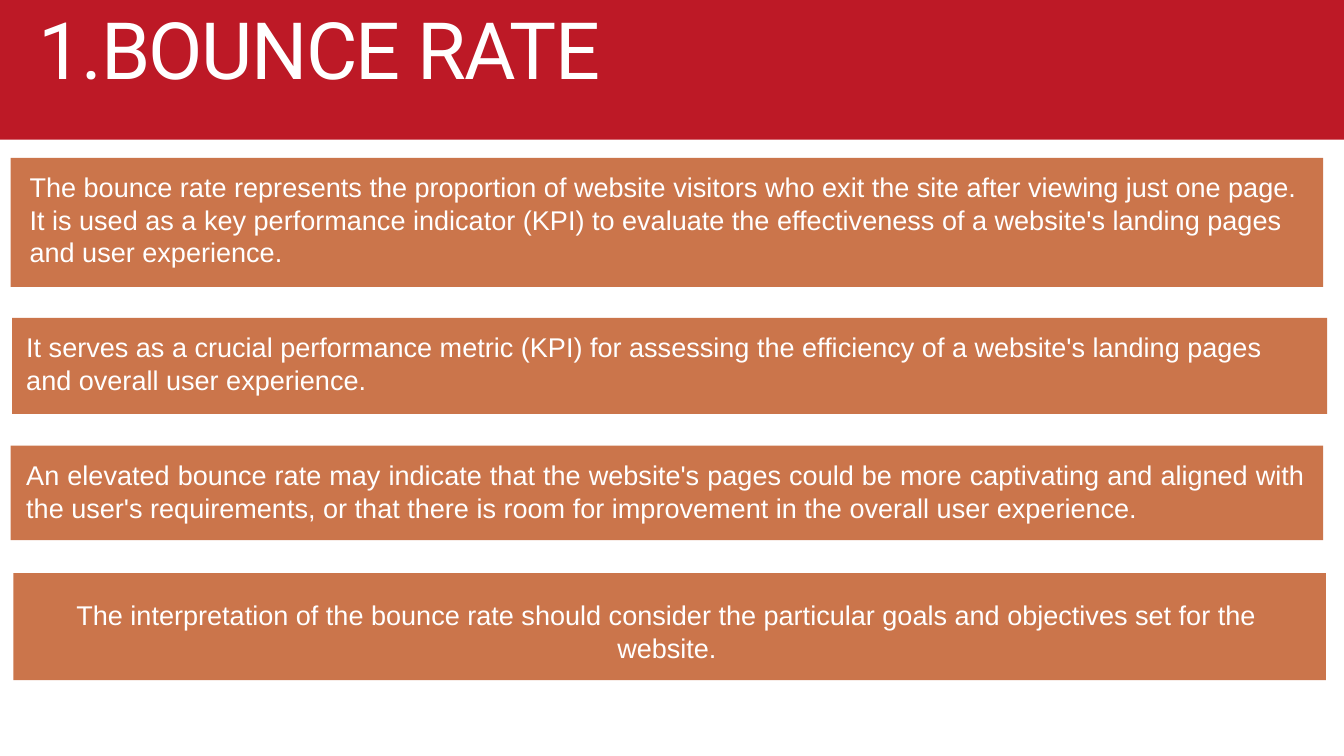
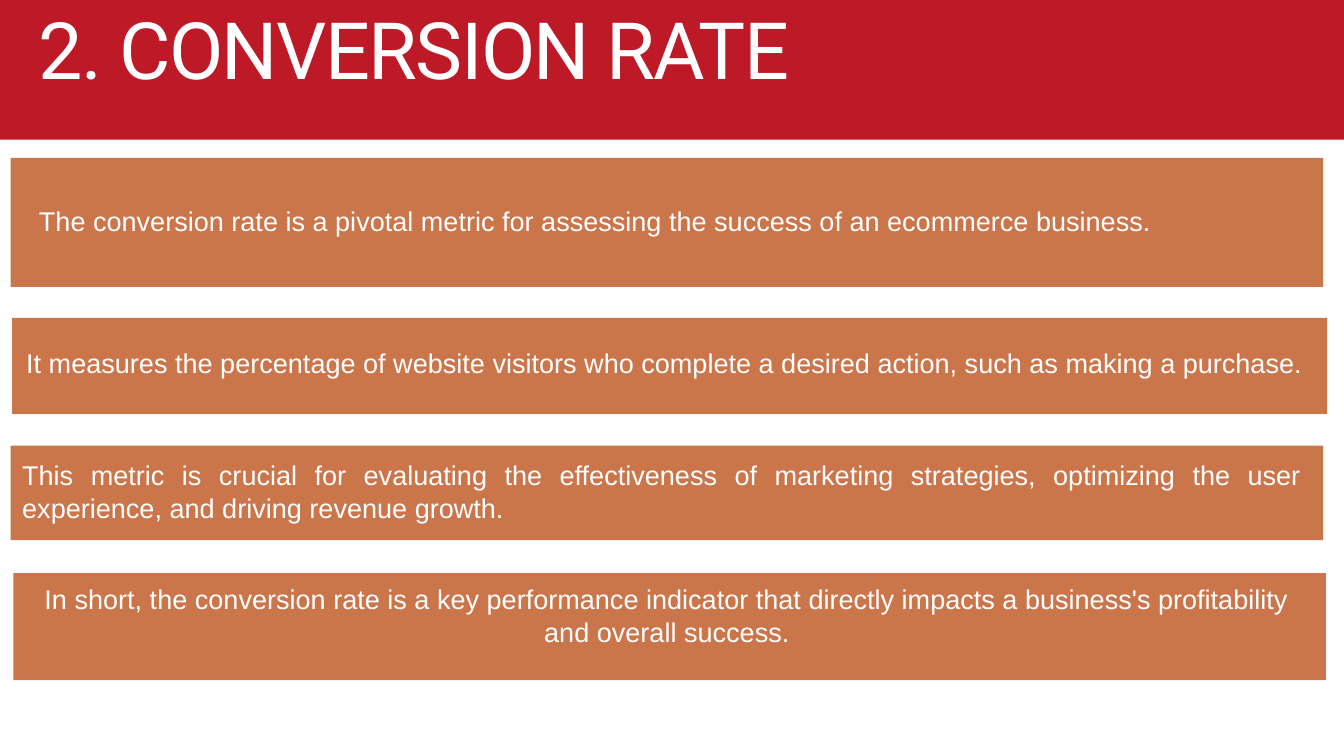
from dataclasses import dataclass

from pptx import Presentation
from pptx.dml.color import RGBColor
from pptx.enum.shapes import MSO_SHAPE as Shape
from pptx.enum.text import MSO_ANCHOR as Anchor, MSO_AUTO_SIZE as AutoSize, PP_ALIGN as Align
from pptx.util import Inches, Pt


@dataclass(frozen=True)
class Theme:
    red: RGBColor = RGBColor(0xBD, 0x19, 0x26)
    copper: RGBColor = RGBColor(0xCB, 0x75, 0x4B)
    white: RGBColor = RGBColor(0xFF, 0xFF, 0xFF)
    title_font: str = "Roboto"
    title_size: float = 84.7
    title_line: float = 74.5
    title_tracking: float = -1.7
    body_font: str = "Arial"
    body_size: float = 29
    body_line: float = 34.9


@dataclass(frozen=True)
class Statement:
    """A text on a panel, with the box (left, top, width, height) it sits in."""
    box: tuple
    paragraphs: tuple
    align: Align = Align.LEFT


THEME = Theme()
BAND = (-0.64, -0.12, 21.17, 2.2)
PANELS = (
    (0.16, 2.35, 19.53, 1.92),
    (0.18, 4.73, 19.57, 1.43),
    (0.16, 6.63, 19.53, 1.41),
    (0.2, 8.53, 19.53, 1.59),
)
TITLE_FORMAT = {"name": THEME.title_font, "size": Pt(THEME.title_size)}
BODY_FORMAT = {"name": THEME.body_font, "size": Pt(THEME.body_size)}

BOUNCE_RATE = (
    Statement((0.44, 2.54, 19.31, 1.93), (
        "The bounce rate represents the proportion of website visitors who exit "
        "the site after viewing just one page.",
        "It is used as a key performance indicator (KPI) to evaluate the "
        "effectiveness of a website's landing pages and user experience.",
    )),
    Statement((0.39, 4.92, 19.05, 1.45), (
        "It serves as a crucial performance metric (KPI) for assessing the "
        "efficiency of a website's landing pages and overall user experience.",
    )),
    Statement((0.39, 6.82, 19.05, 1.45), (
        "An elevated bounce rate may indicate that the website's pages could be "
        "more captivating and aligned with the user's requirements, or that there "
        "is room for improvement in the overall user experience.",
    ), Align.JUSTIFY),
    Statement((0.4, 8.91, 19.05, 0.98), (
        "The interpretation of the bounce rate should consider the particular "
        "goals and objectives set for the website.",
    ), Align.CENTER),
)
CONVERSION_RATE = (
    Statement((0.58, 3.04, 19.31, 0.97), (
        "The conversion rate is a pivotal metric for assessing the success of an "
        "ecommerce business.",
    )),
    Statement((0.39, 5.15, 19.05, 0.97), (
        "It measures the percentage of website visitors who complete a desired "
        "action, such as making a purchase.",
    )),
    Statement((0.33, 6.82, 19.05, 1.45), (
        "This metric is crucial for evaluating the effectiveness of marketing "
        "strategies, optimizing the user experience, and driving revenue growth.",
    ), Align.JUSTIFY),
    Statement((0.4, 8.67, 19.05, 1.46), (
        "In short, the conversion rate is a key performance indicator that "
        "directly impacts a business's profitability and overall success.",
    ), Align.CENTER),
)


def in_inches(box):
    return [Inches(length) for length in box]


def set_all(target, values):
    for name, value in values.items():
        setattr(target, name, value)


def add_panel(slide, box, color):
    panel = slide.shapes.add_shape(Shape.RECTANGLE, *in_inches(box))
    panel.shadow.inherit = False
    panel.fill.solid()
    panel.fill.fore_color.rgb = color
    panel.line.fill.background()


def prepare_frame(frame, auto_size):
    set_all(frame, {
        "margin_left": 0, "margin_top": 0, "margin_right": 0, "margin_bottom": 0,
        "word_wrap": True, "auto_size": auto_size, "vertical_anchor": Anchor.TOP,
    })


def write_span(para, text, font_format, line_points, align):
    set_all(para, {"alignment": align, "line_spacing": Pt(line_points),
                   "space_before": Pt(0)})
    span = para.add_run()
    span.text = text
    set_all(span.font, font_format)
    span.font.color.rgb = THEME.white
    return span


def add_title(slide, text, width):
    title = slide.shapes.title
    slide.shapes._spTree.append(title._element)  # bring in front of the band
    set_all(title, dict(zip(("left", "top", "width", "height"),
                            in_inches((0.58, 0.38, width, 1.13)))))
    prepare_frame(title.text_frame, AutoSize.NONE)
    span = write_span(title.text_frame.paragraphs[0], text, TITLE_FORMAT,
                      THEME.title_line, Align.LEFT)
    span.font._element.set("spc", str(round(THEME.title_tracking * 100)))


def add_statement(slide, statement):
    frame = slide.shapes.add_textbox(*in_inches(statement.box)).text_frame
    prepare_frame(frame, AutoSize.SHAPE_TO_FIT_TEXT)
    for index, text in enumerate(statement.paragraphs):
        para = frame.add_paragraph() if index else frame.paragraphs[0]
        write_span(para, text, BODY_FORMAT, THEME.body_line, statement.align)


def add_metric_slide(deck, title, title_width, statements):
    slide = deck.slides.add_slide(deck.slide_layouts.get_by_name("Title Only"))
    add_panel(slide, BAND, THEME.red)
    add_title(slide, title, title_width)
    for panel_box, statement in zip(PANELS, statements):
        add_panel(slide, panel_box, THEME.copper)
        add_statement(slide, statement)


def main():
    deck = Presentation()
    deck.slide_width, deck.slide_height = Inches(20), Inches(11.25)
    add_metric_slide(deck, "1.BOUNCE RATE", 8.82, BOUNCE_RATE)
    add_metric_slide(deck, "2. CONVERSION RATE", 11.65, CONVERSION_RATE)
    deck.save("out.pptx")


if __name__ == "__main__":
    main()
